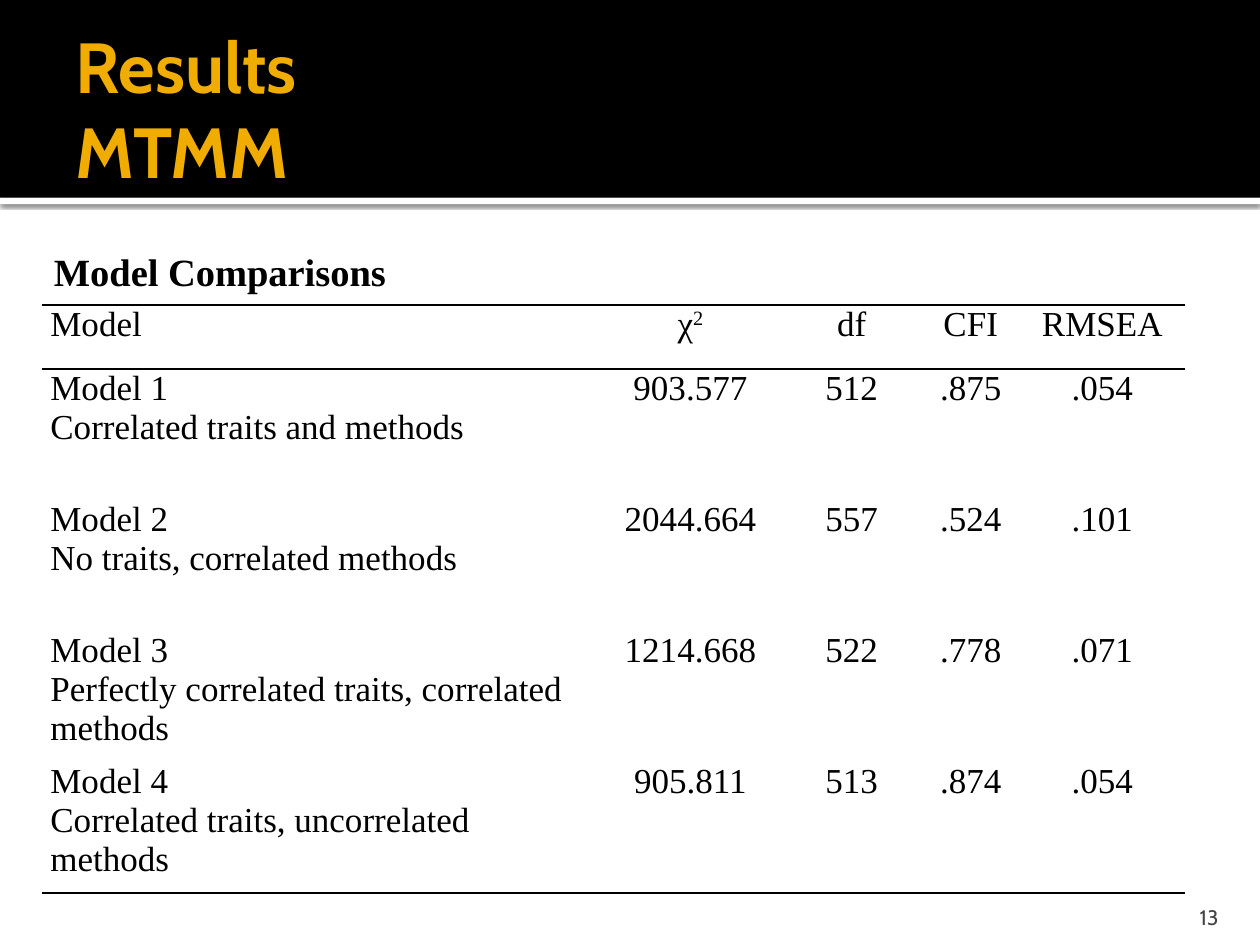
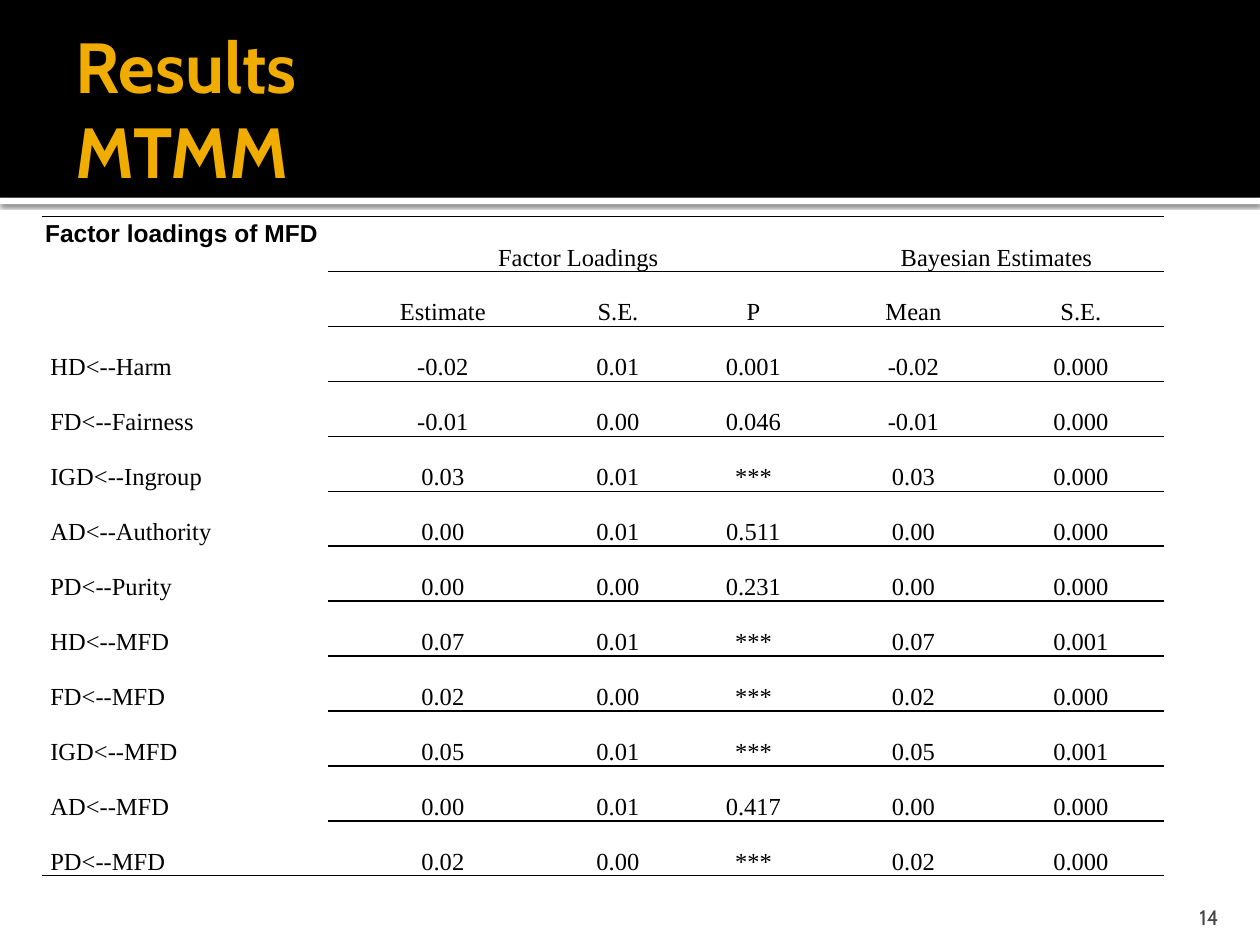
from dataclasses import dataclass

import lxml.etree
import pptx
import pptx.dml.color
import pptx.enum.shapes
import pptx.enum.text
import pptx.oxml.ns
import pptx.presentation
import pptx.slide
import pptx.table
import pptx.text.text
import pptx.util

Inches = pptx.util.Inches
Pt = pptx.util.Pt
Align = pptx.enum.text.PP_ALIGN
Anchor = pptx.enum.text.MSO_ANCHOR
qn = pptx.oxml.ns.qn

BLACK = pptx.dml.color.RGBColor(0x00, 0x00, 0x00)
WHITE = pptx.dml.color.RGBColor(0xFF, 0xFF, 0xFF)
GOLD = pptx.dml.color.RGBColor(0xF0, 0xAD, 0x00)
GRAY = pptx.dml.color.RGBColor(0x45, 0x45, 0x45)

HEADING_FONT = "Cabin"
TABLE_FONT = "Times New Roman"
PLAIN_TABLE_STYLE = "{2D5ABB26-0587-4C30-8999-92F81FD0307C}"
TITLE_LINES = ("Results", "MTMM")
SUPERSCRIPTS = {"χ²": ("χ", "2")}


@dataclass(frozen=True)
class Box:
    left: float
    top: float
    width: float
    height: float

    def lengths(self) -> tuple[int, int, int, int]:
        return Inches(self.left), Inches(self.top), Inches(self.width), Inches(self.height)


@dataclass(frozen=True)
class TextStyle:
    font: str
    size: float
    color: pptx.dml.color.RGBColor = BLACK
    bold: bool = False


@dataclass(frozen=True)
class Label:
    text: str
    box: Box
    style: TextStyle
    margins: tuple[float, float, float, float] = (0.1, 0.05, 0.1, 0.05)
    anchor: Anchor = Anchor.TOP
    align: Align = Align.LEFT
    wrap: bool = True


@dataclass(frozen=True)
class Band:
    box: Box
    color: pptx.dml.color.RGBColor
    shadow: bool = False


@dataclass(frozen=True)
class TableLayout:
    box: Box
    column_widths: tuple[float, ...]
    rows: tuple[tuple[str, ...], ...]
    text_size: float
    line_spacing: float
    anchor: Anchor
    ruled_rows: frozenset[int]
    open_first_column: bool = False
    header_height: float | None = None
    merges: tuple[tuple[int, int], ...] = ()

    def has_rule(self, boundary: int, column: int) -> bool:
        inner = 0 < boundary < len(self.rows)
        return boundary in self.ruled_rows and not (inner and self.open_first_column and column == 0)


BANDS = (
    Band(Box(0, 1.57, 10, 0.05), WHITE, shadow=True),
    Band(Box(0, 0, 10, 1.57), BLACK),
)
TITLE_BOX = Box(0.5, 0.17, 9, 1.37)
TITLE_STYLE = TextStyle(HEADING_FONT, 40.5, GOLD, bold=True)
NUMBER_BOX = Box(8.97, 7.08, 0.8, 0.3)
NUMBER_STYLE = TextStyle(HEADING_FONT, 12, GRAY)

MODEL_TABLE = TableLayout(
    box=Box(0.33, 2.42, 9.08, 4.67),
    column_widths=(4.43, 1.44, 1.12, 0.77, 1.32),
    rows=(
        ("Model", "χ²", "df", "CFI", "RMSEA"),
        ("Model 1\nCorrelated traits and methods", "903.577", "512", ".875", ".054"),
        ("Model 2\nNo traits, correlated methods", "2044.664", "557", ".524", ".101"),
        ("Model 3\nPerfectly correlated traits, correlated methods", "1214.668", "522", ".778", ".071"),
        ("Model 4\nCorrelated traits, uncorrelated methods", "905.811", "513", ".874", ".054"),
    ),
    text_size=20,
    line_spacing=1.0,
    anchor=Anchor.TOP,
    ruled_rows=frozenset((0, 1, 5)),
    header_height=0.51,
)
MODEL_CAPTION = Label("Model Comparisons", Box(0.33, 1.92, 3.42, 0.47), TextStyle(TABLE_FONT, 22, bold=True))

LOADING_TABLE = TableLayout(
    box=Box(0.33, 1.72, 8.92, 5.23),
    column_widths=(2.27, 1.83, 0.95, 1.2, 1.34, 1.32),
    rows=(
        ("", "Factor Loadings", "", "", "Bayesian Estimates", ""),
        ("", "Estimate", "S.E.", "P", "Mean", "S.E."),
        ("HD<--Harm", "-0.02", "0.01", "0.001", "-0.02", "0.000"),
        ("FD<--Fairness", "-0.01", "0.00", "0.046", "-0.01", "0.000"),
        ("IGD<--Ingroup", "0.03", "0.01", "***", "0.03", "0.000"),
        ("AD<--Authority", "0.00", "0.01", "0.511", "0.00", "0.000"),
        ("PD<--Purity", "0.00", "0.00", "0.231", "0.00", "0.000"),
        ("HD<--MFD", "0.07", "0.01", "***", "0.07", "0.001"),
        ("FD<--MFD", "0.02", "0.00", "***", "0.02", "0.000"),
        ("IGD<--MFD", "0.05", "0.01", "***", "0.05", "0.001"),
        ("AD<--MFD", "0.00", "0.01", "0.417", "0.00", "0.000"),
        ("PD<--MFD", "0.02", "0.00", "***", "0.02", "0.000"),
    ),
    text_size=14,
    line_spacing=2.0,
    anchor=Anchor.MIDDLE,
    ruled_rows=frozenset(range(13)),
    open_first_column=True,
    merges=((1, 3), (4, 5)),
)
LOADING_CAPTION = Label(
    "Factor loadings of MFD", Box(0.26, 1.68, 2.37, 0.34), TextStyle("Arial", 14, bold=True),
    anchor=Anchor.MIDDLE, wrap=False,
)


def add_run(paragraph: pptx.text.text._Paragraph, text: str, style: TextStyle) -> pptx.text.text._Run:
    run = paragraph.add_run()
    run.text = text
    run.font.name = style.font
    run.font.size = Pt(style.size)
    run.font.bold = style.bold
    run.font.color.rgb = style.color
    return run


def set_frame(frame: pptx.text.text.TextFrame, margins: tuple[float, float, float, float],
              anchor: Anchor, wrap: bool = True) -> None:
    frame.margin_left, frame.margin_top, frame.margin_right, frame.margin_bottom = map(Inches, margins)
    frame.vertical_anchor = anchor
    frame.word_wrap = wrap
    frame.auto_size = pptx.enum.text.MSO_AUTO_SIZE.NONE


def add_label(slide: pptx.slide.Slide, label: Label) -> None:
    frame = slide.shapes.add_textbox(*label.box.lengths()).text_frame
    set_frame(frame, label.margins, label.anchor, label.wrap)
    frame.paragraphs[0].alignment = label.align
    add_run(frame.paragraphs[0], label.text, label.style)


def add_band(slide: pptx.slide.Slide, band: Band) -> None:
    shape = slide.shapes.add_shape(pptx.enum.shapes.MSO_SHAPE.RECTANGLE, *band.box.lengths())
    shape.fill.solid()
    shape.fill.fore_color.rgb = band.color
    shape.line.fill.background()
    shape.shadow.inherit = False
    if band.shadow:
        effects = shape.element.spPr.find(qn("a:effectLst"))
        shadow = lxml.etree.SubElement(
            effects, qn("a:outerShdw"), blurRad=str(Pt(2.5)), dist=str(Pt(0.8)),
            dir="5400000", algn="tl", rotWithShape="0")
        color = lxml.etree.SubElement(shadow, qn("a:srgbClr"), val=str(BLACK))
        lxml.etree.SubElement(color, qn("a:alpha"), val="60000")


def add_title(slide: pptx.slide.Slide) -> None:
    title = slide.shapes.title
    title.element.getparent().append(title.element)
    title.left, title.top, title.width, title.height = TITLE_BOX.lengths()
    set_frame(title.text_frame, (0.1, 0.05, 0.05, 0.05), Anchor.MIDDLE)
    paragraph = title.text_frame.paragraphs[0]
    paragraph.alignment = Align.LEFT
    for index, line in enumerate(TITLE_LINES):
        if index:
            paragraph.add_line_break()
        add_run(paragraph, line, TITLE_STYLE)


def set_border(cell: pptx.table._Cell, edge: str, visible: bool) -> None:
    properties = cell._tc.get_or_add_tcPr()
    line = lxml.etree.SubElement(properties, qn(f"a:{edge}"), w=str(Pt(1)))
    if visible:
        fill = lxml.etree.SubElement(line, qn("a:solidFill"))
        lxml.etree.SubElement(fill, qn("a:srgbClr"), val=str(BLACK))
    else:
        lxml.etree.SubElement(line, qn("a:noFill"))


def fill_cell(cell: pptx.table._Cell, text: str, layout: TableLayout, align: Align) -> None:
    cell.margin_left = cell.margin_right = Inches(0.07)
    cell.margin_top = cell.margin_bottom = 0
    cell.vertical_anchor = layout.anchor
    style = TextStyle(TABLE_FONT, layout.text_size)
    for index, line in enumerate(text.split("\n") if text else ()):
        frame = cell.text_frame
        paragraph = frame.add_paragraph() if index else frame.paragraphs[0]
        paragraph.alignment = align
        paragraph.line_spacing = layout.line_spacing
        base, *raised = SUPERSCRIPTS.get(line, (line,))
        add_run(paragraph, base, style)
        for part in raised:
            add_run(paragraph, part, style).font._element.set("baseline", "30000")


def add_data_table(slide: pptx.slide.Slide, layout: TableLayout) -> None:
    row_count = len(layout.rows)
    frame = slide.shapes.add_table(row_count, len(layout.column_widths), *layout.box.lengths())
    table = frame.table
    table.first_row = table.horz_banding = False
    table._tbl.tblPr.find(qn("a:tableStyleId")).text = PLAIN_TABLE_STYLE
    for column, width in zip(table.columns, layout.column_widths):
        column.width = Inches(width)
    total_height = Inches(layout.box.height)
    header_height = Inches(layout.header_height) if layout.header_height else total_height // row_count
    for index, row in enumerate(table.rows):
        row.height = (total_height - header_height) // (row_count - 1) if index else header_height
    for row_index, texts in enumerate(layout.rows):
        for column_index, text in enumerate(texts):
            cell = table.cell(row_index, column_index)
            fill_cell(cell, text, layout, Align.CENTER if column_index else Align.LEFT)
            set_border(cell, "lnT", layout.has_rule(row_index, column_index))
            set_border(cell, "lnB", layout.has_rule(row_index + 1, column_index))
            cell.fill.background()
    for first, last in layout.merges:
        table.cell(0, first).merge(table.cell(0, last))


def add_results_slide(presentation: pptx.presentation.Presentation, number: int,
                      layout: TableLayout, caption: Label) -> None:
    slide = presentation.slides.add_slide(presentation.slide_layouts.get_by_name("Title Only"))
    slide.background.fill.solid()
    slide.background.fill.fore_color.rgb = WHITE
    for band in BANDS:
        add_band(slide, band)
    add_title(slide)
    add_label(slide, Label(str(number), NUMBER_BOX, NUMBER_STYLE, (0.1, 0.05, 0.1, 0), Anchor.BOTTOM, Align.RIGHT))
    add_data_table(slide, layout)
    add_label(slide, caption)


def main() -> None:
    presentation = pptx.Presentation()
    presentation.slide_width = Inches(10)
    presentation.slide_height = Inches(7.5)
    add_results_slide(presentation, 13, MODEL_TABLE, MODEL_CAPTION)
    add_results_slide(presentation, 14, LOADING_TABLE, LOADING_CAPTION)
    presentation.save("out.pptx")


if __name__ == "__main__":
    main()
